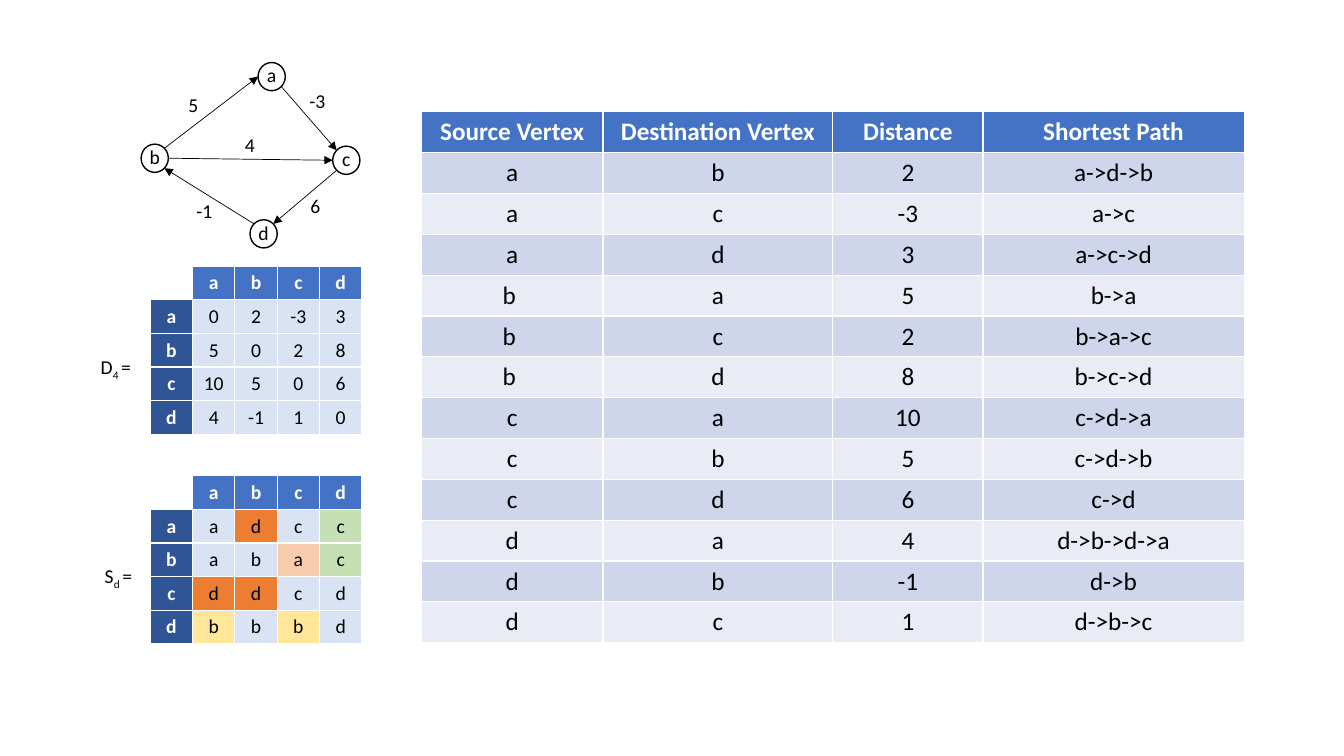
from dataclasses import dataclass
from math import cos, radians, sin

from lxml.etree import SubElement
from pptx import Presentation
from pptx.dml.color import RGBColor
from pptx.enum.shapes import MSO_CONNECTOR, MSO_SHAPE
from pptx.enum.text import MSO_ANCHOR, PP_ALIGN
from pptx.oxml.ns import qn
from pptx.util import Emu, Pt


@dataclass(frozen=True)
class Theme:
    font: str = "Calibri"
    path_size: int = 18
    small_size: int = 14
    ink: str = "000000"
    paper: str = "FFFFFF"
    header: str = "4472C4"
    row_header: str = "2F5597"
    bands: tuple = ("CFD5EA", "E9EBF5")
    cell: str = "DAE3F3"
    via_b: str = "FFE699"
    via_a: str = "F8CBAD"
    via_c: str = "C5E0B4"
    via_d: str = "ED7D31"


THEME = Theme()

# Content: lengths in px, 100 px to the inch
SLIDE_SIZE = (1333, 750)

PATH_FRAME = (418, 111, 527)  # left, top, height
PATH_COLUMNS = (180, 228, 149, 259)
PATH_ROWS = [
    ("Source Vertex", "Destination Vertex", "Distance", "Shortest Path"),
    ("a", "b", "2", "a->d->b"),
    ("a", "c", "-3", "a->c"),
    ("a", "d", "3", "a->c->d"),
    ("b ", "a", "5", "b->a"),
    ("b ", "c", "2", "b->a->c"),
    ("b ", "d", "8", "b->c->d"),
    ("c", "a", "10", "c->d->a"),
    ("c", "b", "5", "c->d->b"),
    ("c", "d", "6", "c->d"),
    ("d", "a", "4", "d->b->d->a"),
    ("d", "b", "-1", "d->b"),
    ("d", "c", "1", "d->b->c"),
]

VERTICES = "abcd"
MATRIX_COLUMNS = (42,) * 5
DISTANCE_FRAME = (149, 264, 167)
DISTANCES = [
    ("0", "2", "-3", "3"),
    ("5", "0", "2", "8"),
    ("10", "5", "0", "6"),
    ("4", "-1", "1", "0"),
]
SUCCESSOR_FRAME = (149, 472, 167)
SUCCESSORS = ["adcc", "abac", "ddcd", "bbbd"]
SUCCESSOR_FILLS = {
    (1, 2): THEME.via_d, (3, 1): THEME.via_d, (3, 2): THEME.via_d,
    (1, 4): THEME.via_c, (2, 4): THEME.via_c,
    (2, 3): THEME.via_a,
    (4, 1): THEME.via_b, (4, 3): THEME.via_b,
}

# Matrix names: letter, subscript, left, top
MATRIX_NAMES = [("D", "4 ", 90, 347), ("S", "d ", 94, 555)]

NODE_SIZE = (27, 28)
NODES = {"b": (140, 143), "a": (256, 62), "c": (330, 145), "d": (248, 218)}

# Edges: from, angle, to, angle (clockwise from the right), weight, label box
EDGES = [
    ("a", 45, "c", 225, "-3", (297, 83, 37)),
    ("c", 135, "d", 315, "6", (298, 187, 33)),
    ("b", 0, "c", 180, "4", (233, 127, 33)),
    ("b", 315, "a", 180, "5", (177, 87, 33)),
    ("d", 225, "b", 45, "-1", (185, 192, 42)),
]
LABEL_HEIGHT = 34
NAME_WIDTH = 61


def px(length):
    return Emu(round(length * 9144))


def color(code):
    return RGBColor.from_string(code)


def set_font(paragraph, size, ink=THEME.ink, bold=False):
    paragraph.font.name = THEME.font
    paragraph.font.size = Pt(size)
    paragraph.font.color.rgb = color(ink)
    paragraph.font.bold = bold


def add_grid(shapes, frame, columns, rows, size, fill_at, row_headers):
    left, top, height = frame
    table = shapes.add_table(len(rows), len(columns), px(left), px(top),
                             px(sum(columns)), px(height)).table
    table.first_col = row_headers
    for column, width in zip(table.columns, columns):
        column.width = px(width)
    for r, row in enumerate(rows):
        table.rows[r].height = px(height / len(rows))
        for c, value in enumerate(row):
            cell = table.cell(r, c)
            cell.margin_top = cell.margin_bottom = 0
            cell.vertical_anchor = MSO_ANCHOR.MIDDLE
            cell.fill.solid()
            cell.fill.fore_color.rgb = color(fill_at(r, c))
            cell.text = value
            paragraph = cell.text_frame.paragraphs[0]
            paragraph.alignment = PP_ALIGN.CENTER
            heading = r == 0 or (row_headers and c == 0)
            set_font(paragraph, size, THEME.paper if heading else THEME.ink, heading)


def path_fill(r, c):
    return THEME.bands[(r - 1) % 2] if r else THEME.header


def add_matrix(shapes, frame, values, highlights):
    def fill_at(r, c):
        if r == 0:
            return THEME.header if c else THEME.paper
        return highlights.get((r, c), THEME.cell) if c else THEME.row_header

    rows = [("", *VERTICES)] + [(v, *row) for v, row in zip(VERTICES, values)]
    add_grid(shapes, frame, MATRIX_COLUMNS, rows, THEME.small_size, fill_at, True)


def add_label(shapes, left, top, width, text, subscript="", ending=""):
    frame = shapes.add_textbox(px(left), px(top), px(width), px(LABEL_HEIGHT)).text_frame
    frame.word_wrap = True
    paragraph = frame.paragraphs[0]
    set_font(paragraph, THEME.small_size)
    for part in filter(None, (text, subscript, ending)):
        run = paragraph.add_run()
        run.text = part
        if part == subscript:
            run.font._element.set("baseline", "-25000")


def add_node(shapes, vertex, left, top):
    node = shapes.add_shape(MSO_SHAPE.OVAL, px(left), px(top), *map(px, NODE_SIZE))
    node.shadow.inherit = False
    node.fill.background()
    node.line.color.rgb = color(THEME.ink)
    node.line.width = Pt(1)
    frame = node.text_frame
    frame.margin_left = frame.margin_right = frame.margin_top = 0
    frame.margin_bottom = px(3)
    frame.word_wrap = False
    frame.vertical_anchor = MSO_ANCHOR.MIDDLE
    frame.text = vertex
    frame.paragraphs[0].alignment = PP_ALIGN.CENTER
    set_font(frame.paragraphs[0], THEME.small_size)


def rim_point(vertex, angle):
    (left, top), (width, height) = NODES[vertex], NODE_SIZE
    turn = radians(angle)
    return px(left + width / 2 * (1 + cos(turn))), px(top + height / 2 * (1 + sin(turn)))


def add_edge(shapes, start, end):
    edge = shapes.add_connector(MSO_CONNECTOR.STRAIGHT, *start, *end)
    edge.line.color.rgb = color(THEME.ink)
    edge.line.width = Pt(0.5)
    SubElement(edge.line._get_or_add_ln(), qn("a:tailEnd"), type="triangle")
    SubElement(edge._element.spPr, qn("a:effectLst"))


def main():
    deck = Presentation()
    deck.slide_width, deck.slide_height = map(px, SLIDE_SIZE)
    shapes = deck.slides.add_slide(deck.slide_layouts[6]).shapes

    # Tables
    add_grid(shapes, PATH_FRAME, PATH_COLUMNS, PATH_ROWS, THEME.path_size, path_fill, False)
    add_matrix(shapes, DISTANCE_FRAME, DISTANCES, {})
    add_matrix(shapes, SUCCESSOR_FRAME, SUCCESSORS, SUCCESSOR_FILLS)
    for letter, subscript, left, top in MATRIX_NAMES:
        add_label(shapes, left, top, NAME_WIDTH, letter, subscript, "=")

    # Graph
    for vertex, (left, top) in NODES.items():
        add_node(shapes, vertex, left, top)
    for source, leave, target, arrive, weight, label_box in EDGES:
        add_edge(shapes, rim_point(source, leave), rim_point(target, arrive))
        add_label(shapes, *label_box, weight)

    deck.save("out.pptx")


if __name__ == "__main__":
    main()
